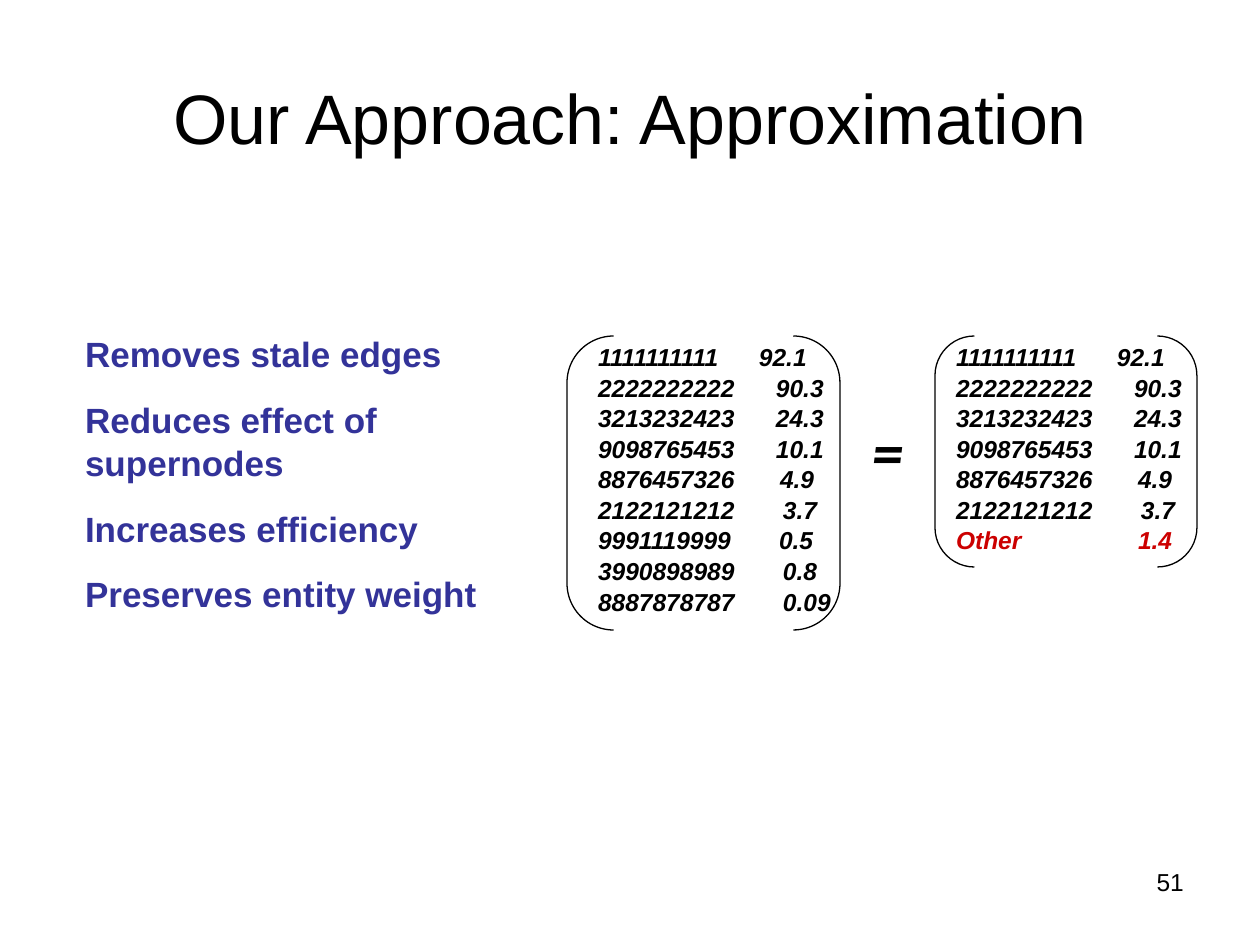
"""Build the approximation slide: benefits beside two bracketed weight lists."""
from lxml import etree
from pptx import Presentation
from pptx.dml.color import RGBColor
from pptx.enum.shapes import MSO_SHAPE
from pptx.enum.text import MSO_ANCHOR, PP_ALIGN
from pptx.oxml.ns import qn
from pptx.util import Emu, Pt

BRACKETS = MSO_SHAPE.DOUBLE_BRACKET
MIDDLE = MSO_ANCHOR.MIDDLE
LEFT, CENTER, RIGHT = PP_ALIGN.LEFT, PP_ALIGN.CENTER, PP_ALIGN.RIGHT
PX = 914400 // 126
COLORS = {"black": "000000", "blue": "333399", "red": "CC0000"}

TITLE = "Our Approach: Approximation"
BENEFITS = [
    "Removes stale edges",
    "Reduces effect of supernodes",
    "Increases efficiency",
    "Preserves entity weight",
]
KEPT = [
    ("1111111111", "92.1", 161),
    ("2222222222", "90.3", 178),
    ("3213232423", "24.3", 178),
    ("9098765453", "10.1", 178),
    ("8876457326", "4.9", 182),
    ("2122121212", "3.7", 185),
]
DROPPED = [
    ("9991119999", "0.5", 181),
    ("3990898989", "0.8", 185),
    ("8887878787", "0.09", 185),
]
OTHER = [("Other", "1.4", 182)]
LISTS = [
    (KEPT + DROPPED, (587, 336, 285, 305), (567, 336, 273, 294)),
    (KEPT + OTHER, (945, 336, 285, 246), (935, 336, 262, 231)),
]


def px(*values):
    return [Emu(v * PX) for v in values]


def style(p, size, color="black", font="Arial", bold=False, italic=False):
    for r in p.runs:
        r.font.name, r.font.size = font, Pt(size)
        r.font.bold, r.font.italic = bold, italic
        r.font.color.rgb = RGBColor.from_string(COLORS[color])


def add_text(s, box, lines, align=LEFT, wrap=True):
    tf = s.shapes.add_textbox(*px(*box)).text_frame
    tf.word_wrap = wrap
    tf.margin_left, tf.margin_right, tf.margin_top, tf.margin_bottom = px(11, 11, 5, 5)
    tf.text = "\n".join(lines)
    for p in tf.paragraphs:
        p.alignment = align
    return tf.paragraphs


def add_tab(p, position):
    tabs = etree.SubElement(p._p.get_or_add_pPr(), qn("a:tabLst"))
    etree.SubElement(tabs, qn("a:tab"), pos=str(position * PX), algn="l")


def add_list(s, rows, text_box, bracket_box):
    lines = [f"{key}\t{weight}" for key, weight, _ in rows]
    for p, (key, _, tab) in zip(add_text(s, text_box, lines), rows):
        p.line_spacing = 1.04
        add_tab(p, tab)
        style(p, 14, "red" if key == "Other" else "black", bold=True, italic=True)
    sp = s.shapes.add_shape(BRACKETS, *px(*bracket_box))
    sp.adjustments[0] = 0.171
    sp.shadow.inherit = False
    sp.fill.background()
    sp.line.color.rgb = RGBColor.from_string(COLORS["black"])
    sp.line.width = Pt(0.75)


def main():
    prs = Presentation()
    prs.slide_width, prs.slide_height = px(1260, 945)
    s = prs.slides.add_slide(prs.slide_layouts[5])

    title = s.shapes.title
    title.left, title.top, title.width, title.height = px(63, 38, 1134, 157)
    tf = title.text_frame
    tf.text = TITLE
    tf.vertical_anchor = MIDDLE
    tf.paragraphs[0].alignment = CENTER
    style(tf.paragraphs[0], 40)

    for i, p in enumerate(add_text(s, (74, 326, 420, 350), BENEFITS)):
        p.line_spacing = 1.04
        if i:
            p.space_before = Pt(12.5)
        style(p, 20, "blue", bold=True)

    for rows, text_box, bracket_box in LISTS:
        add_list(s, rows, text_box, bracket_box)

    equals = add_text(s, (861, 408, 59, 86), ["="], wrap=False)
    style(equals[0], 36, font="Calibri", bold=True, italic=True)
    number = add_text(s, (903, 862, 292, 65), ["51"], RIGHT)
    style(number[0], 14)

    prs.save("out.pptx")


if __name__ == "__main__":
    main()
